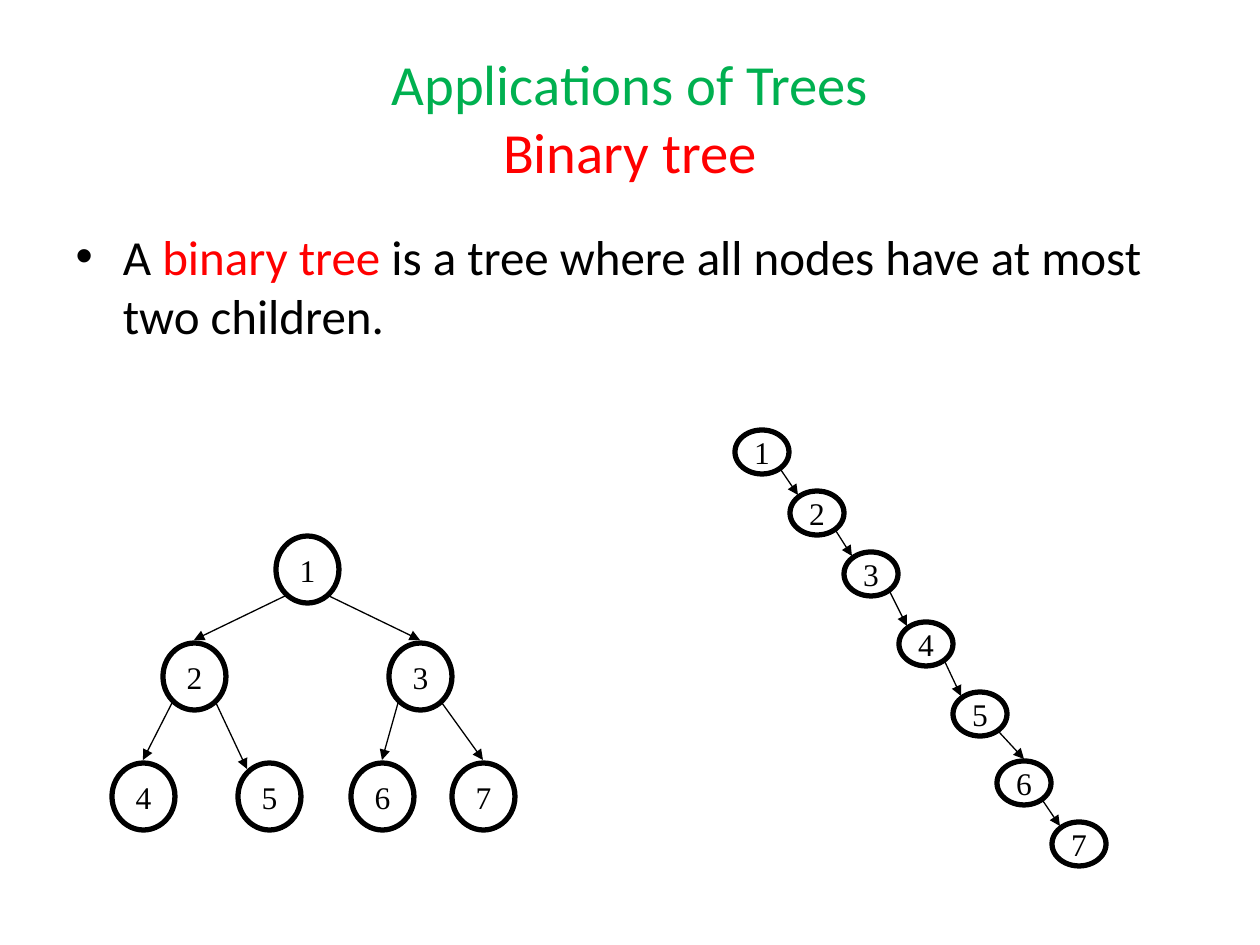
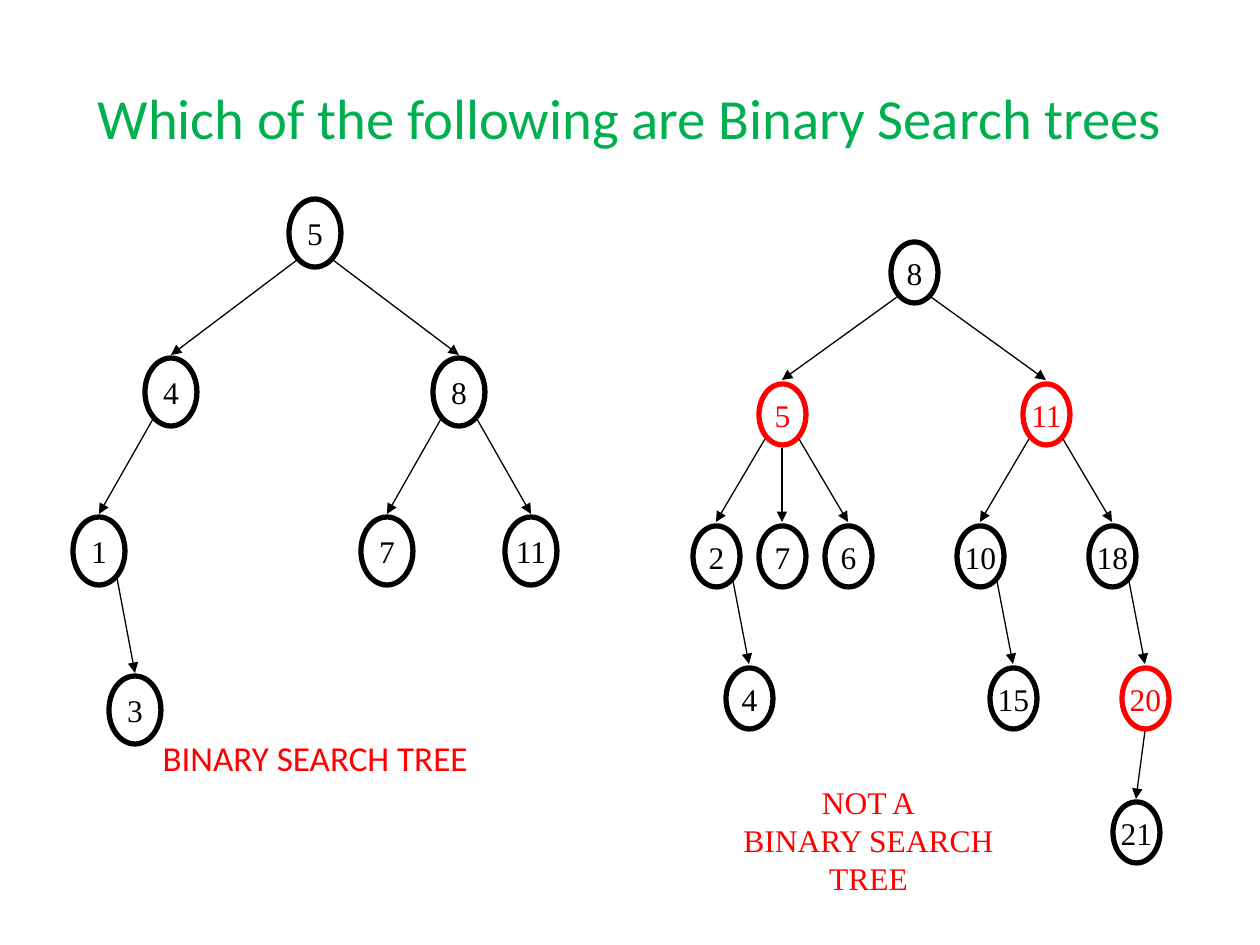
"""Build two slides on binary trees and binary search trees."""
from dataclasses import dataclass
from typing import Any

from lxml import etree
from pptx import Presentation
from pptx import util as u
from pptx.dml.color import RGBColor
from pptx.enum import shapes, text
from pptx.oxml.ns import qn

SCALE = 914400 // 126
BLACK, RED, GREEN = "000000", "FF0000", "00B050"
SANS, SERIF = "Calibri", "Times New Roman"
DIAG = 0.707
TITLE = (63, 38, 1134, 157)
Run = tuple[str, str]


@dataclass
class Node:
    label: str
    col: int
    row: int
    root: str = ""
    hue: str = BLACK
    side: bool = False


@dataclass
class Tree:
    left: int
    top: int
    dx: int
    dy: int
    wide: int
    high: int
    gap: int
    nodes: list[Node]

    def spot(self, node: Node) -> tuple[int, int]:
        return self.left + node.col * self.dx, self.top + node.row * self.dy


def px(num: float) -> int:
    return round(num) * SCALE


def apply(item: Any, vals: dict[str, Any]) -> None:
    for key, val in vals.items():
        setattr(item, key, val)


def paint(color: Any, hue: str) -> None:
    color.rgb = RGBColor.from_string(hue)


def place(shape: Any, box: tuple[int, int, int, int]) -> None:
    apply(shape, dict(zip(("left", "top", "width", "height"), map(px, box))))


def write(para: Any, runs: list[Run], size: float, face: str) -> None:
    for words, hue in runs:
        for num, line in enumerate(words.split("\n")):
            if num:
                para.add_line_break()
            if line:
                run = para.add_run()
                run.text = line
                apply(run.font, {"name": face, "size": u.Pt(size)})
                paint(run.font.color, hue)


def fill(shape: Any, box: tuple[int, int, int, int], runs: list[Run], size: float) -> Any:
    place(shape, box)
    apply(shape.text_frame, {"auto_size": text.MSO_AUTO_SIZE.NONE, "word_wrap": True})
    para = shape.text_frame.paragraphs[0]
    write(para, runs, size, SANS)
    return para


def start(deck: Any, title: list[Run]) -> Any:
    slide = deck.slides.add_slide(deck.slide_layouts[1])
    fill(slide.shapes.title, TITLE, title, 32.4)
    return slide


def oval(slide: Any, tree: Tree, node: Node) -> None:
    x, y = tree.spot(node)
    shape = slide.shapes.add_shape(shapes.MSO_SHAPE.OVAL, 0, 0, 0, 0)
    place(shape, (x - tree.wide // 2, y - tree.high // 2, tree.wide, tree.high))
    shape.shadow.inherit = False
    shape.fill.background()
    shape.line.width = u.Pt(3)
    paint(shape.line.color, node.hue)
    frame = shape.text_frame
    margins = dict.fromkeys(("margin_left", "margin_right", "margin_top", "margin_bottom"), 0)
    apply(frame, margins | {"word_wrap": False, "vertical_anchor": text.MSO_ANCHOR.MIDDLE})
    frame.paragraphs[0].alignment = text.PP_ALIGN.CENTER
    write(frame.paragraphs[0], [(node.label, node.hue)], 18, SERIF)


def arrow(slide: Any, tree: Tree, root: Node, node: Node) -> None:
    (x, y), (tox, toy) = tree.spot(root), tree.spot(node)
    half, rise = tree.wide / 2, tree.high / 2
    if abs(tox - x) < 15:
        y += rise
    else:
        x += DIAG * half * (1 if tox > x else -1)
        y += DIAG * rise
    if node.side:
        tox -= DIAG * half
        toy -= DIAG * rise
    else:
        toy -= rise
    ends = map(px, (x, y + tree.gap, tox, toy - tree.gap))
    line = slide.shapes.add_connector(shapes.MSO_CONNECTOR.STRAIGHT, *ends)
    line.line.width = u.Pt(0.75)
    paint(line.line.color, BLACK)
    props = line.element.spPr
    etree.SubElement(props.find(qn("a:ln")), qn("a:tailEnd"), type="triangle")
    etree.SubElement(props, qn("a:effectLst"))


def draw(slide: Any, tree: Tree) -> None:
    known = {node.label: node for node in tree.nodes}
    for node in tree.nodes:
        oval(slide, tree, node)
        if node.root:
            arrow(slide, tree, known[node.root], node)


FULL = Tree(0, 0, 1, 1, 63, 67, 3, [
    Node("1", 307, 569),
    Node("2", 194, 676, "1"),
    Node("3", 420, 676, "1"),
    Node("4", 143, 796, "2"),
    Node("5", 269, 796, "2", side=True),
    Node("6", 382, 796, "3"),
    Node("7", 483, 796, "3"),
])
STEPS = [(762, 452), (817, 513), (871, 574), (926, 644), (980, 714), (1024, 783), (1079, 844)]
CHAIN = Tree(0, 0, 1, 1, 54, 44, 2, [
    Node(str(num), x, y, str(num - 1) if num > 1 else "", side=num != 6)
    for num, (x, y) in enumerate(STEPS, 1)
])
SEARCH = Tree(99, 233, 36, 159, 52, 68, 3, [
    Node("5", 6, 0),
    Node("4", 2, 1, "5"),
    Node("8", 10, 1, "5"),
    Node("1", 0, 2, "4"),
    Node("7", 8, 2, "8"),
    Node("11", 12, 2, "8"),
    Node("3", 1, 3, "1"),
])
OTHER = Tree(716, 272, 33, 142, 47, 61, 3, [
    Node("8", 6, 0),
    Node("5", 2, 1, "8", RED),
    Node("11", 10, 1, "8", RED),
    Node("2", 0, 2, "5"),
    Node("7", 2, 2, "5"),
    Node("6", 4, 2, "5"),
    Node("10", 8, 2, "11"),
    Node("18", 12, 2, "11"),
    Node("4", 1, 3, "2"),
    Node("15", 9, 3, "10"),
    Node("20", 13, 3, "18", RED),
])
LAST = Tree(1136, 832, 1, 1, 47, 61, 3, [Node("21", 0, 0)])


def binary(deck: Any) -> None:
    slide = start(deck, [("Applications of Trees\n", GREEN), ("Binary tree", RED)])
    runs = [("A ", BLACK), ("binary tree", RED),
            (" is a tree where all nodes have at most two children.", BLACK)]
    fill(slide.placeholders[1], (63, 220, 1134, 624), runs, 28)
    draw(slide, FULL)
    draw(slide, CHAIN)


def search(deck: Any) -> None:
    slide = start(deck, [("Which of the following are Binary Search trees", GREEN)])
    para = fill(slide.placeholders[1], (150, 730, 360, 56), [("BINARY SEARCH TREE", RED)], 20)
    para.space_before = u.Pt(0)
    props = para._p.get_or_add_pPr()
    for key in ("marL", "indent"):
        props.set(key, "0")
    etree.SubElement(props, qn("a:buNone"))
    draw(slide, SEARCH)
    draw(slide, OTHER)
    draw(slide, LAST)
    ends = map(px, (1145, 731, 1136, 799))
    line = slide.shapes.add_connector(shapes.MSO_CONNECTOR.STRAIGHT, *ends)
    finish(line)
    note = slide.shapes.add_textbox(0, 0, 0, 0)
    place(note, (708, 777, 321, 105))
    note.text_frame.word_wrap = True
    for num, words in enumerate(("NOT A", "BINARY SEARCH TREE")):
        para = note.text_frame.add_paragraph() if num else note.text_frame.paragraphs[0]
        para.alignment = text.PP_ALIGN.CENTER
        write(para, [(words, RED)], 18, SERIF)


def finish(line: Any) -> None:
    line.line.width = u.Pt(0.75)
    paint(line.line.color, BLACK)
    props = line.element.spPr
    etree.SubElement(props.find(qn("a:ln")), qn("a:tailEnd"), type="triangle")
    etree.SubElement(props, qn("a:effectLst"))


def main() -> None:
    deck = Presentation()
    apply(deck, {"slide_width": px(1260), "slide_height": px(945)})
    binary(deck)
    search(deck)
    deck.save("out.pptx")


main()
